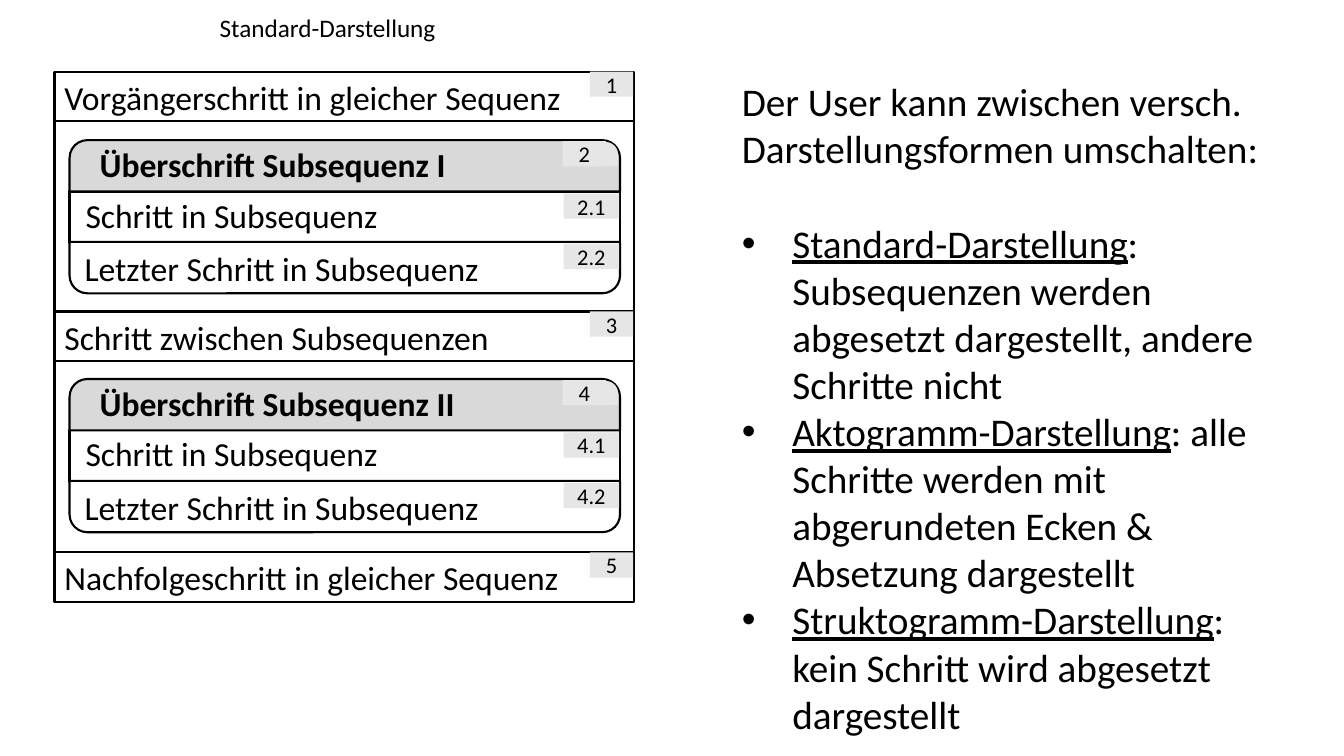
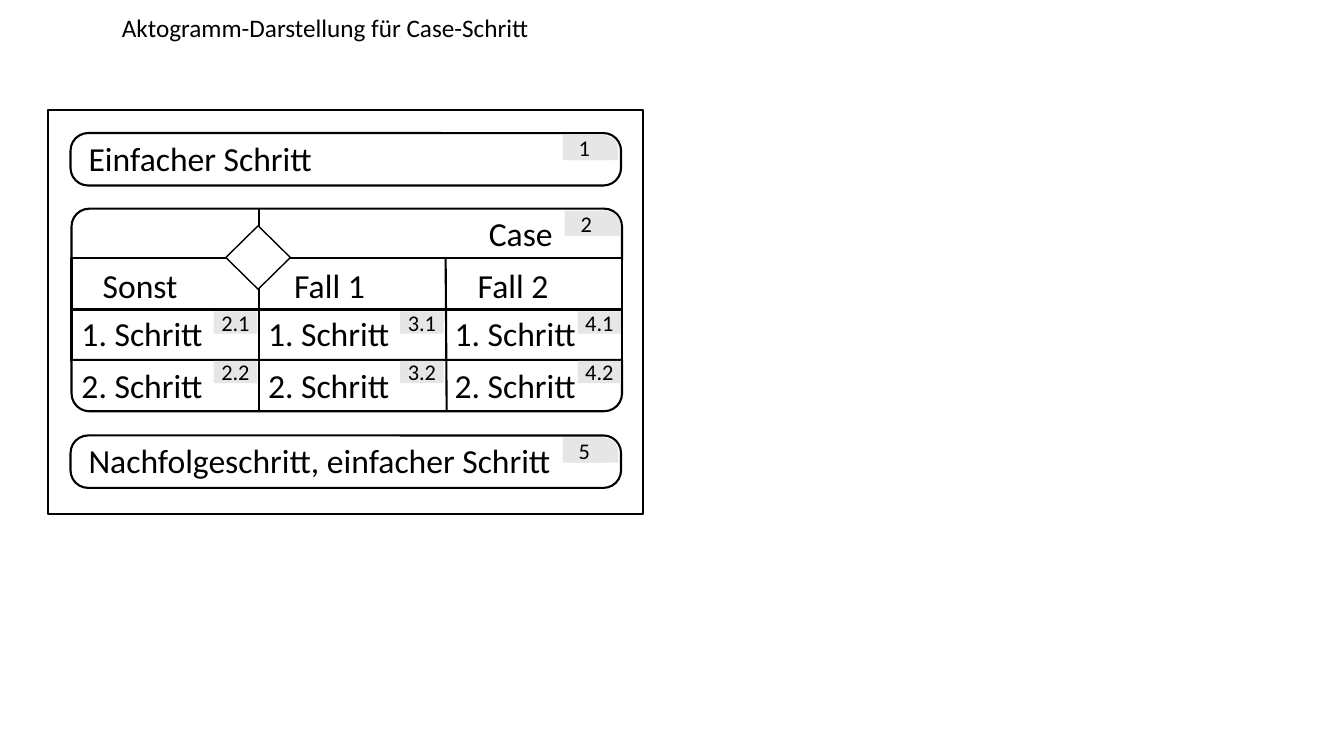
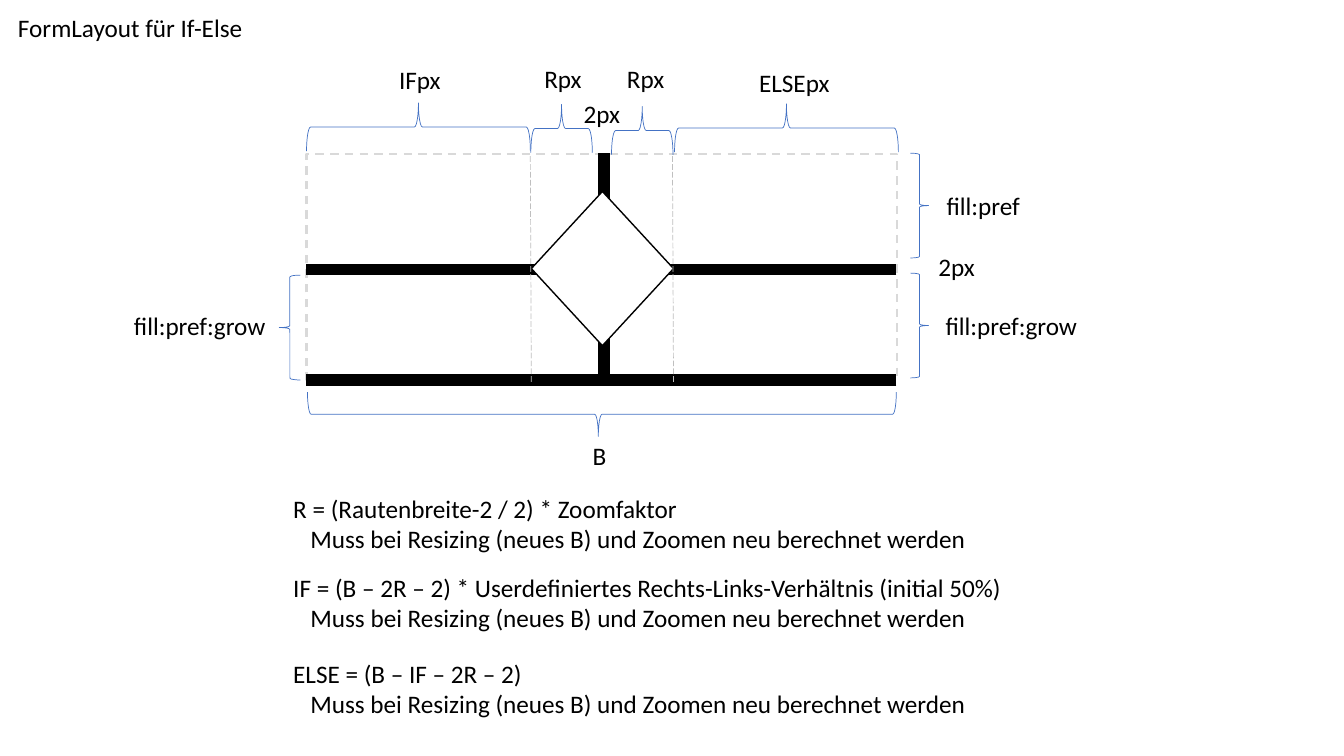
from dataclasses import dataclass

from lxml.etree import SubElement as Sub
from pptx import Presentation as Deck
from pptx.dml.color import RGBColor as Rgb
from pptx.enum.dml import MSO_LINE as Dash
from pptx.enum.shapes import MSO_CONNECTOR as Link, MSO_SHAPE as Kind
from pptx.enum.text import MSO_ANCHOR as Anchor, MSO_AUTO_SIZE as Fit, PP_ALIGN as Align
from pptx.oxml.ns import qn
from pptx.shapes.autoshape import Shape
from pptx.slide import Slide
from pptx.text.text import _Paragraph as Para
from pptx.util import Inches, Pt

FONT = "Calibri"
BLACK, WHITE = "000000", "FFFFFF"
MARK, HEAD = "E7E6E6", "D9D9D9"
PALE, GREY, BLUE = "D9D9D9", "BFBFBF", "4472C4"
ROUND = 0.346
LEFT, WIDE, ROW = 0.69, 5.46, 0.51


@dataclass(frozen=True)
class Box:
    x: float
    y: float
    w: float
    h: float


@dataclass(frozen=True)
class Pen:
    hue: str = BLACK
    width: float = 1.5
    dash: Dash | None = None


@dataclass(frozen=True)
class Step:
    text: str
    mark: str
    y: float


@dataclass(frozen=True)
class Case:
    name: str
    x: float
    mark: float


@dataclass(frozen=True)
class Brace:
    box: Box
    kind: Kind = Kind.RIGHT_BRACE
    turn: int = 0
    adj: tuple[float, ...] = ()


@dataclass(frozen=True)
class Note:
    text: str
    x: float
    y: float
    w: float


INK = Pen()
THIN = Pen(width=1)
BAR = Pen(width=8)
FRAME = Pen(PALE, 1.5, Dash.DASH)
GUIDE = Pen(GREY, 0.5, Dash.LONG_DASH)
CURLY = Pen(BLUE, 0.5)


def tint(code: str) -> Rgb:
    return Rgb.from_string(code)


def draw(line, pen: Pen) -> None:
    line.color.rgb = tint(pen.hue)
    line.width = Pt(pen.width)
    if pen.dash is not None:
        line.dash_style = pen.dash


def form(slide: Slide, kind: Kind, box: Box, fill: str | None = WHITE,
         pen: Pen | None = INK, adj: tuple[float, ...] = ()) -> Shape:
    shape = slide.shapes.add_shape(
        kind, Inches(box.x), Inches(box.y), Inches(box.w), Inches(box.h))
    shape.shadow.inherit = False
    for i, value in enumerate(adj):
        shape.adjustments[i] = value
    if fill:
        shape.fill.solid()
        shape.fill.fore_color.rgb = tint(fill)
    else:
        shape.fill.background()
    if pen:
        draw(shape.line, pen)
    else:
        shape.line.fill.background()
    return shape


def rule(slide: Slide, x1: float, y1: float, x2: float, y2: float, pen: Pen = INK) -> None:
    line = slide.shapes.add_connector(
        Link.STRAIGHT, Inches(x1), Inches(y1), Inches(x2), Inches(y2))
    draw(line.line, pen)
    Sub(line.element.spPr, qn("a:effectLst"))


def write(para: Para, text: str, size: float, bold: bool = False, under: bool = False) -> None:
    run = para.add_run()
    run.text = text
    font = run.font
    font.name, font.size, font.bold, font.underline = FONT, Pt(size), bold, under
    font.color.rgb = tint(BLACK)


def indent(para: Para, left: float, first: float = 0) -> None:
    props = para._p.get_or_add_pPr()
    props.set("marL", str(Inches(left)))
    props.set("indent", str(Inches(first)))


def field(slide: Slide, box: Box, wrap: bool = True):
    frame = slide.shapes.add_textbox(
        Inches(box.x), Inches(box.y), Inches(box.w), Inches(box.h)).text_frame
    frame.word_wrap = wrap
    frame.auto_size = Fit.SHAPE_TO_FIT_TEXT
    return frame


def label(slide: Slide, text: str, x: float, y: float, w: float, h: float = 0.5,
          size: float = 24, bold: bool = False, align: Align = Align.LEFT,
          wrap: bool = True) -> Para:
    para = field(slide, Box(x, y, w, h), wrap).paragraphs[0]
    para.alignment = align
    write(para, text, size, bold)
    return para


def title(slide: Slide, text: str, w: float, align: Align = Align.LEFT) -> Para:
    return label(slide, text, 0.08, 0.07, w, 0.4, 18, align=align)


def badge(slide: Slide, text: str, x: float, y: float, w: float = 0.43, h: float = 0.25) -> None:
    frame = form(slide, Kind.RECTANGLE, Box(x, y, w, h), MARK, None).text_frame
    frame.vertical_anchor = Anchor.MIDDLE
    frame.margin_left = frame.margin_right = Inches(0.04)
    frame.margin_top = frame.margin_bottom = Inches(0.05)
    para = frame.paragraphs[0]
    para.alignment = Align.CENTER
    write(para, text, 16)


def tab(slide: Slide, text: str, x: float, y: float) -> None:
    form(slide, Kind.ROUND_2_SAME_RECTANGLE, Box(x + 0.08, y + 0.01, 0.47, 0.24),
         MARK, None, (0.5, 0))
    badge(slide, text, x, y)


def crown(slide: Slide, x: float, y: float, fill: str = WHITE) -> None:
    form(slide, Kind.ROUND_2_SAME_RECTANGLE, Box(x, y, WIDE, ROW), fill, adj=(ROUND, 0))


def base(slide: Slide, x: float, y: float) -> None:
    form(slide, Kind.ROUND_2_SAME_RECTANGLE, Box(x, y, WIDE, ROW), adj=(0, ROUND))


def plain(slide: Slide, step: Step) -> None:
    form(slide, Kind.RECTANGLE, Box(0.54, step.y, 5.75, 0.49))
    label(slide, step.text, 0.54, step.y, 5.23)
    badge(slide, step.mark, 5.85, step.y)


def group(slide: Slide, step: Step) -> None:
    top = step.y
    mid, low = top + ROW, top + 2 * ROW
    form(slide, Kind.RECTANGLE, Box(LEFT, mid, WIDE, ROW))
    rule(slide, LEFT, low, LEFT + WIDE, low)
    crown(slide, LEFT, top, HEAD)
    label(slide, step.text, 0.89, top - 0.01, 4.24, bold=True)
    tab(slide, step.mark, 5.58, top + 0.01)
    label(slide, "Schritt in Subsequenz", 0.75, mid - 0.02, 3.87)
    badge(slide, step.mark + ".1", 5.59, mid + 0.02, 0.55)
    base(slide, LEFT, low - 0.01)
    badge(slide, step.mark + ".2", 5.59, low + 0.01, 0.55)
    label(slide, "Letzter Schritt in Subsequenz", 0.74, low, 4.39)


def modes(slide: Slide) -> None:
    indent(title(slide, "Standard-Darstellung", 7.25), 2)
    frame = field(slide, Box(7.26, 0.72, 5.39, 6.7))
    write(frame.paragraphs[0],
          "Der User kann zwischen versch. Darstellungsformen umschalten:", 28)
    items = [
        ("Standard", "Subsequenzen werden abgesetzt dargestellt, andere Schritte nicht"),
        ("Aktogramm", "alle Schritte werden mit abgerundeten Ecken & Absetzung dargestellt"),
        ("Struktogramm", "kein Schritt wird abgesetzt dargestellt"),
    ]
    for i, (name, text) in enumerate(items):
        para = frame.add_paragraph()
        indent(para, 0.5, -0.5)
        Sub(para._p.get_or_add_pPr(), qn("a:buFont")).set("typeface", "Arial")
        Sub(para._p.get_or_add_pPr(), qn("a:buChar")).set("char", "•")
        if i == 0:
            para.space_before = Pt(34)
        write(para, name + "-Darstellung", 28, under=True)
        write(para, ": " + text, 28)

    form(slide, Kind.RECTANGLE, Box(0.54, 1.2, 5.75, 4.3))
    for step in (Step("Vorgängerschritt in gleicher Sequenz", "1", 0.71),
                 Step("Schritt zwischen Subsequenzen", "3", 3.09),
                 Step("Nachfolgeschritt in gleicher Sequenz", "5", 5.48)):
        plain(slide, step)
    for step in (Step("Überschrift Subsequenz I", "2", 1.39),
                 Step("Überschrift Subsequenz II", "4", 3.76)):
        group(slide, step)


def cases(slide: Slide) -> None:
    form(slide, Kind.RECTANGLE, Box(0.48, 1.09, 5.9, 4.01))
    title(slide, "Aktogramm-Darstellung für Case-Schritt", 6.29, Align.CENTER)
    for step in (Step("Einfacher Schritt", "1", 1.32),
                 Step("Nachfolgeschritt, einfacher Schritt", "5", 4.32)):
        form(slide, Kind.ROUNDED_RECTANGLE, Box(0.7, step.y, WIDE, 0.52), adj=(0.335,))
        label(slide, step.text, 0.78, step.y, 4.82)
        tab(slide, step.mark, 5.58, step.y + 0.02)

    left = 0.71
    crown(slide, left, 2.07)
    for y in (2.56, 3.07):
        form(slide, Kind.RECTANGLE, Box(left, y, WIDE, ROW))
    base(slide, left, 3.57)
    label(slide, "Case", 2.88, 2.06, 2.7, align=Align.RIGHT)
    tab(slide, "2", 5.6, 2.09)
    for i, case in enumerate((Case("Sonst", 0.92, 2.12), Case("Fall 1", 2.82, 3.97),
                              Case("Fall 2", 4.64, 5.73))):
        label(slide, case.name, case.x, 2.58, 1.3)
        for j in range(2):
            label(slide, f"{j + 1}. Schritt", 0.71 + 1.85 * i, 3.06 + ROW * j, 1.51)
            badge(slide, f"{i + 2}.{j + 1}", case.mark, 3.09 + 0.49 * j, h=0.22)
    rule(slide, 4.42, 2.55, 4.43, 4.07)
    rule(slide, 2.57, 2.07, 2.57, 4.07)
    form(slide, Kind.DIAMOND, Box(2.24, 2.24, 0.64, 0.63), pen=THIN)


def split(slide: Slide) -> None:
    left, right = 3.04, 8.89
    form(slide, Kind.RECTANGLE, Box(left, 1.53, 5.86, 2.24), pen=FRAME)
    rule(slide, 5.99, 1.52, 5.99, 3.77, BAR)
    for y in (3.77, 2.67):
        rule(slide, right, y, left, y, BAR)
    form(slide, Kind.DIAMOND, Box(5.27, 1.9, 1.41, 1.53), pen=THIN)
    for x in (5.26, 6.67):
        rule(slide, x, 1.55, x + 0.01, 3.79, GUIDE)

    for brace in (
        Brace(Box(9.03, 1.52, 0.18, 1.04)),
        Brace(Box(9.03, 2.71, 0.18, 1.04)),
        Brace(Box(6.13, 0.99, 0.48, 0.61), turn=270),
        Brace(Box(5.33, 0.97, 0.48, 0.61), turn=270),
        Brace(Box(3.91, 0.15, 0.48, 2.22), turn=270),
        Brace(Box(7.56, 0.16, 0.48, 2.22), turn=270),
        Brace(Box(5.75, 1.19, 0.44, 5.84), Kind.LEFT_BRACE, 270, (0.083, 0.494)),
        Brace(Box(2.77, 2.73, 0.21, 1.04), Kind.LEFT_BRACE),
    ):
        form(slide, brace.kind, brace.box, None, CURLY, brace.adj).rotation = brace.turn

    for note in (
        Note("2px", 5.69, 0.93, 0.57),
        Note("2px", 9.21, 2.44, 0.57),
        Note("fill:pref", 9.29, 1.84, 0.94),
        Note("Rpx", 6.12, 0.58, 0.58),
        Note("Rpx", 5.3, 0.58, 0.58),
        Note("IFpx", 3.86, 0.59, 0.62),
        Note("B", 5.78, 4.32, 0.34),
        Note("fill:pref:grow", 1.23, 3.03, 1.52),
        Note("fill:pref:grow", 9.28, 3.03, 1.52),
        Note("ELSEpx", 7.43, 0.62, 0.91),
    ):
        label(slide, note.text, note.x, note.y, note.w, 0.4, 18, wrap=False)

    for note in (
        Note("R = (Rautenbreite-2 / 2) * Zoomfaktor", 2.81, 4.84, 6.96),
        Note("IF = (B – 2R – 2) * Userdefiniertes Rechts-Links-Verhältnis (initial 50%)",
             2.81, 5.63, 7.31),
        Note("ELSE = (B – IF – 2R – 2)", 2.81, 6.48, 6.96),
    ):
        frame = field(slide, Box(note.x, note.y, note.w, 0.71), False)
        write(frame.paragraphs[0], note.text, 18)
        para = frame.add_paragraph()
        indent(para, 0.17)
        write(para, "Muss bei Resizing (neues B) und Zoomen neu berechnet werden", 18)
    title(slide, "FormLayout für If-Else", 9.62)


def main() -> None:
    deck = Deck()
    deck.slide_width, deck.slide_height = Inches(13.33), Inches(7.5)
    for build in (modes, cases, split):
        build(deck.slides.add_slide(deck.slide_layouts[6]))
    deck.save("out.pptx")


if __name__ == "__main__":
    main()
